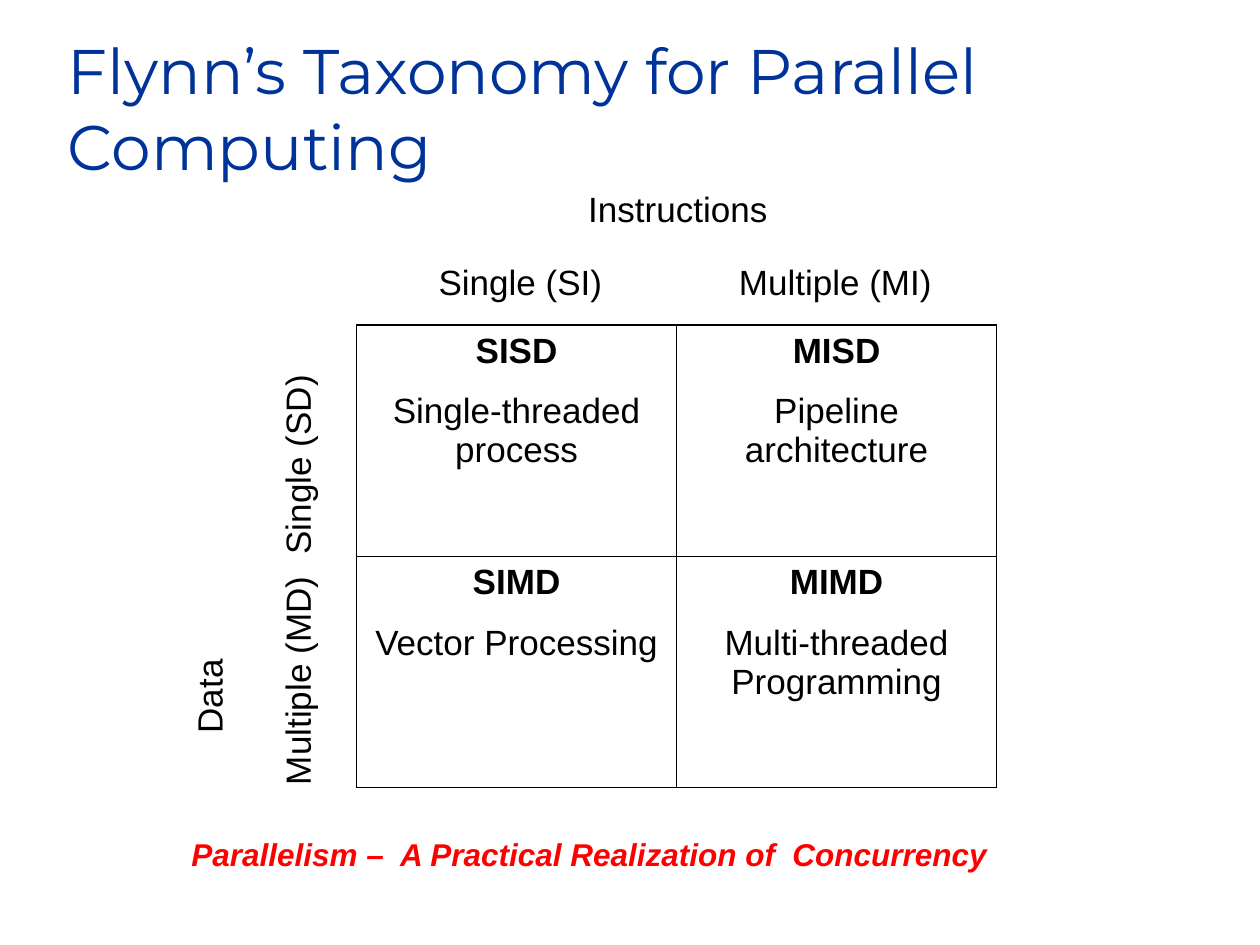
from lxml import etree
from pptx import Presentation
from pptx import util as u
from pptx.dml.color import RGBColor
from pptx.enum import text
from pptx.oxml.ns import qn

BLACK = "000000"
INNER, OUTER = 0.45, 1.08
QUADRANTS = [
    [("SISD", "Single-threaded process"), ("MISD", "Pipeline architecture")],
    [("SIMD", "Vector Processing"), ("MIMD", "Multi-threaded Programming")],
]


def color(hex_code):
    return RGBColor.from_string(hex_code)


def add_run(paragraph, words, size=20, font="Arial", ink=BLACK, bold=False, italic=False):
    run = paragraph.add_run()
    run.text = words
    run.font.size = u.Pt(size)
    run.font.name = font
    run.font.color.rgb = color(ink)
    run.font.bold = bold
    run.font.italic = italic


def add_text(slide, box, words, **style):
    label = slide.shapes.add_textbox(*map(u.Inches, box))
    label.text_frame.word_wrap = True
    add_run(label.text_frame.paragraphs[0], words, **style)
    return label


def add_axis_label(slide, box, words, vertical=False):
    label = add_text(slide, box, words)
    frame = label.text_frame
    frame.paragraphs[0].alignment = text.PP_ALIGN.CENTER
    frame.paragraphs[0].line_spacing = 0.81
    if vertical:
        label.rotation = 180
        frame.margin_left = frame.margin_right = u.Inches(0.05)
        frame.margin_top = frame.margin_bottom = u.Inches(0.1)
        frame._txBody.bodyPr.set("vert", "eaVert")


def set_borders(cell, widths):
    properties = cell._tc.get_or_add_tcPr()
    for side, width in widths.items():
        line = etree.SubElement(properties, qn(f"a:{side}"), w=str(u.Pt(width)))
        fill = etree.SubElement(line, qn("a:solidFill"))
        etree.SubElement(fill, qn("a:srgbClr"), val=BLACK)


def fill_quadrant(cell, acronym, example):
    heading = cell.text_frame.paragraphs[0]
    add_run(heading, acronym, bold=True)
    description = cell.text_frame.add_paragraph()
    description.space_before = u.Pt(6.2)
    add_run(description, example)
    for paragraph in (heading, description):
        paragraph.alignment = text.PP_ALIGN.CENTER
        paragraph.space_after = u.Pt(6.2)


def add_taxonomy(slide):
    box = map(u.Inches, (2.83, 2.58, 5.08, 3.67))
    taxonomy = slide.shapes.add_table(2, 2, *box).table
    taxonomy.first_row = taxonomy.horz_banding = False
    for row, quadrants in enumerate(QUADRANTS):
        for column, (acronym, example) in enumerate(quadrants):
            cell = taxonomy.cell(row, column)
            fill_quadrant(cell, acronym, example)
            set_borders(cell, {
                "lnL": INNER if column else OUTER,
                "lnR": OUTER if column else INNER,
                "lnT": INNER if row else OUTER,
                "lnB": OUTER if row else INNER,
            })
            cell.fill.background()


def main():
    deck = Presentation()
    deck.slide_width, deck.slide_height = u.Inches(10), u.Inches(7.5)
    slide = deck.slides.add_slide(deck.slide_layouts[6])

    title = add_text(slide, (0.44, 0.25, 8.5, 1.25),
                     "Flynn’s Taxonomy for Parallel Computing",
                     size=36, font="Montserrat", ink="003399")
    title.text_frame.vertical_anchor = text.MSO_ANCHOR.BOTTOM

    add_axis_label(slide, (2.92, 1.5, 4.92, 0.37), "Instructions")
    for left, words in ((2.92, "Single (SI)"), (5.42, "Multiple (MI)")):
        add_axis_label(slide, (left, 2.08, 2.42, 0.37), words)

    add_axis_label(slide, (1.5, 2.92, 0.47, 3), "Data", vertical=True)
    for top, words in ((2.5, "Single (SD)"), (4.33, "Multiple (MD)")):
        add_axis_label(slide, (2.2, top, 0.47, 2), words, vertical=True)

    add_taxonomy(slide)
    add_text(slide, (1.42, 6.58, 7.33, 0.4),
             "Parallelism –  A Practical Realization of  Concurrency",
             size=18, ink="FF0000", bold=True, italic=True)
    deck.save("out.pptx")


if __name__ == "__main__":
    main()
